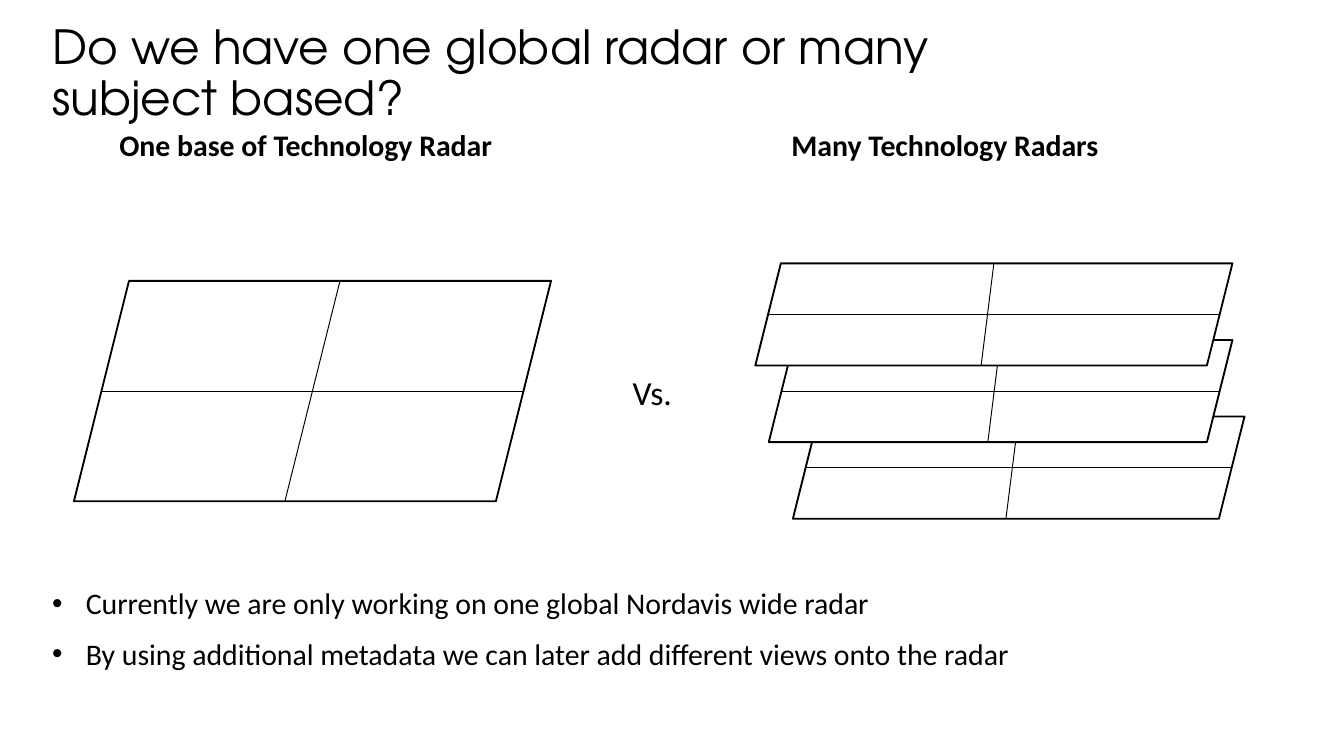
from lxml.etree import SubElement
from pptx import Presentation
from pptx.dml.color import RGBColor
from pptx.enum.shapes import MSO_CONNECTOR, MSO_SHAPE
from pptx.enum.text import MSO_ANCHOR, PP_ALIGN
from pptx.oxml.ns import qn
from pptx.util import Inches, Pt

BLACK = RGBColor(0, 0, 0)
WHITE = RGBColor(255, 255, 255)
TITLE_FONT = "TeX Gyre Adventor"
BODY_FONT = "Calibri"
SLANT = 0.25


class RadarSlide:
    def __init__(self, presentation):
        self.slide = presentation.slides.add_slide(presentation.slide_layouts[5])
        self.slide.background.fill.solid()
        self.slide.background.fill.fore_color.rgb = WHITE

    def style(self, paragraph, size, font=BODY_FONT, bold=False):
        for run in paragraph.runs:
            run.font.name = font
            run.font.size = Pt(size)
            run.font.bold = bold
            run.font.color.rgb = BLACK

    def title(self, text, left, top, width, height):
        heading = self.slide.shapes.title
        heading.left, heading.top = Inches(left), Inches(top)
        heading.width, heading.height = Inches(width), Inches(height)
        frame = heading.text_frame
        frame.text = text
        frame.vertical_anchor = MSO_ANCHOR.TOP
        frame.word_wrap = True
        paragraph = frame.paragraphs[0]
        paragraph.alignment = PP_ALIGN.LEFT
        paragraph.line_spacing = 0.9
        self.style(paragraph, 25.2, TITLE_FONT)

    def text(self, text, left, top, width, height, size=16, bold=False, spacing=0.9, wrap=True):
        box = self.slide.shapes.add_textbox(
            Inches(left), Inches(top), Inches(width), Inches(height)
        )
        frame = box.text_frame
        frame.text = text
        frame.word_wrap = wrap
        for paragraph in frame.paragraphs:
            paragraph.line_spacing = spacing
            self.style(paragraph, size, bold=bold)
        return frame

    def bullets(self, items, left, top, width, height):
        frame = self.text("\n".join(items), left, top, width, height)
        for index, paragraph in enumerate(frame.paragraphs):
            properties = paragraph._p.get_or_add_pPr()
            properties.set("marL", str(Inches(0.25)))
            properties.set("indent", str(Inches(-0.25)))
            SubElement(properties, qn("a:buFont"), typeface="Arial")
            SubElement(properties, qn("a:buChar"), char="•")
            if index:
                paragraph.space_before = Pt(10)

    def line(self, x1, y1, x2, y2):
        divider = self.slide.shapes.add_connector(
            MSO_CONNECTOR.STRAIGHT, Inches(x1), Inches(y1), Inches(x2), Inches(y2)
        )
        divider.line.color.rgb = BLACK
        divider.line.width = Pt(0.5)
        SubElement(divider._element.spPr, qn("a:effectLst"))

    def radar(self, left, top, width, height, lean):
        plane = self.slide.shapes.add_shape(
            MSO_SHAPE.PARALLELOGRAM, Inches(left), Inches(top), Inches(width), Inches(height)
        )
        plane.adjustments[0] = SLANT
        plane.shadow.inherit = False
        plane.fill.solid()
        plane.fill.fore_color.rgb = WHITE
        plane.line.color.rgb = BLACK
        plane.line.width = Pt(1)
        offset = height * SLANT
        middle = top + height / 2
        foot = left + (width - offset) / 2
        self.line(left + offset / 2, middle, left + width - offset / 2, middle)
        self.line(foot + offset * lean, top, foot, top + height)


def main():
    presentation = Presentation()
    presentation.slide_width = Inches(10)
    presentation.slide_height = presentation.slide_width * 9 // 16

    page = RadarSlide(presentation)
    page.title("Do we have one global radar or many subject based?", 0.29, 0.13, 7.91, 0.64)
    page.text("One base of Technology Radar", 0.79, 0.92, 3.6, 0.35, bold=True)
    page.text("Many Technology Radars", 5.79, 0.92, 3.6, 0.35, bold=True)

    page.radar(0.55, 2.09, 3.55, 1.64, lean=1)
    page.text("Vs.", 4.61, 2.72, 0.5, 0.4, size=18, spacing=1, wrap=False)
    stack = [(5.9, 3.36), (5.72, 3.45), (5.62, 3.55)]
    for level, (left, width) in enumerate(stack):
        page.radar(left, 3.1 - 0.57 * level, width, 0.76, lean=0.5)

    page.bullets(
        [
            "Currently we are only working on one global Nordavis wide radar",
            "By using additional metadata we can later add different views onto the radar",
        ],
        0.29, 4.33, 9.51, 0.78,
    )
    presentation.save("out.pptx")


if __name__ == "__main__":
    main()
